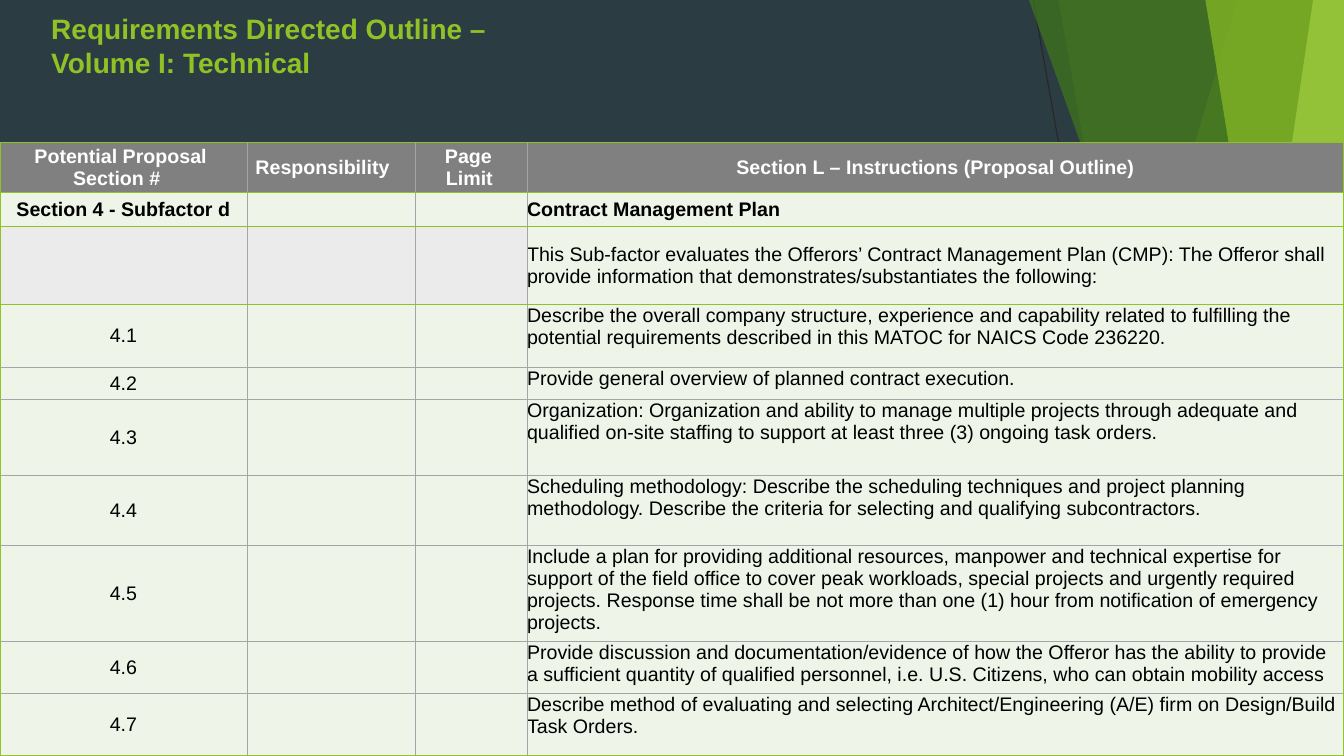
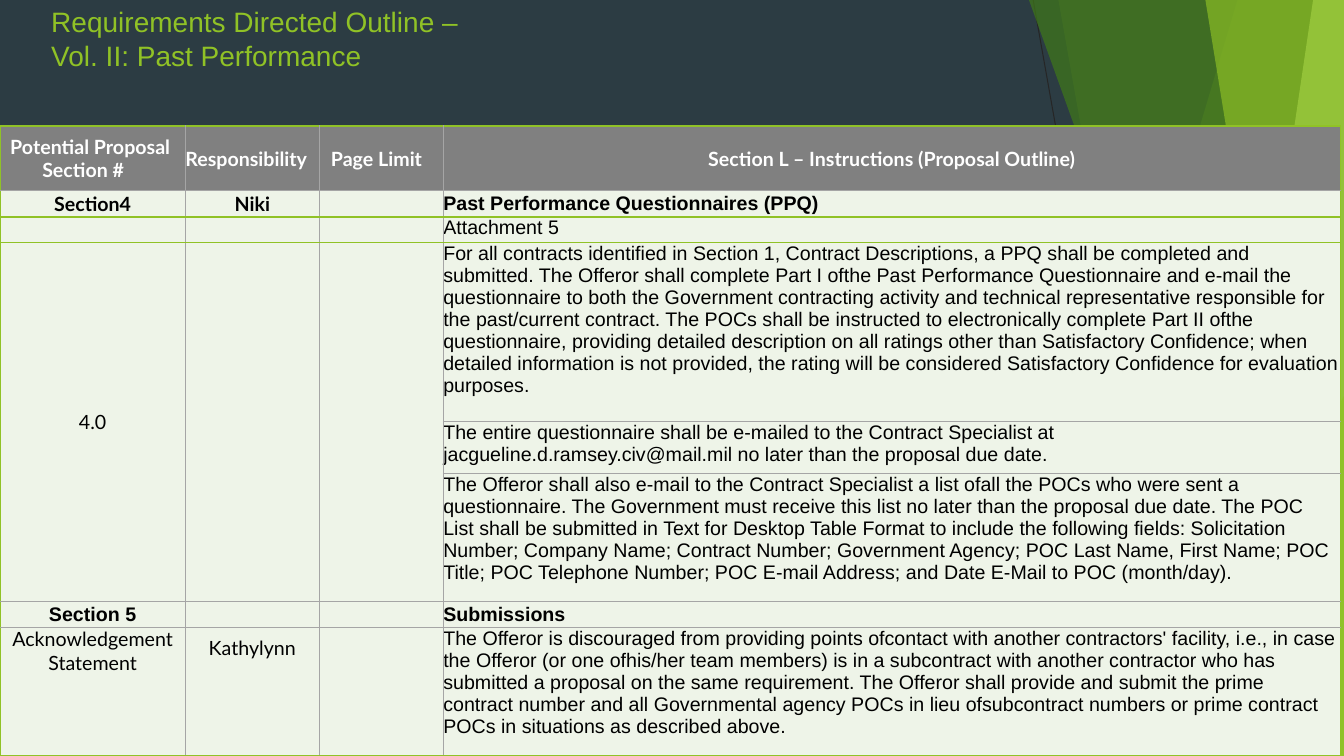
from lxml import etree
from pptx import Presentation
from pptx.dml.color import RGBColor
from pptx.enum import shapes, text
from pptx.oxml import ns
from pptx.util import Pt

NAVY = RGBColor(0x2C, 0x3C, 0x43)
LIME = RGBColor(0x90, 0xC2, 0x26)
GREEN = RGBColor(0x54, 0xA0, 0x21)
FOREST = RGBColor(0x3F, 0x78, 0x19)
PALE_LIME = RGBColor(0xC0, 0xE4, 0x74)
INK = RGBColor(0x26, 0x26, 0x26)
BLACK = RGBColor(0, 0, 0)
WHITE = RGBColor(0xFF, 0xFF, 0xFF)
HEADER_GREY = RGBColor(0x80, 0x80, 0x80)
RULE_GREY = RGBColor(0xA5, 0xA5, 0xA5)
CELL_GREEN = RGBColor(0xEE, 0xF4, 0xE8)
CELL_GREY = RGBColor(0xEB, 0xEB, 0xEB)

W, H = 960, 540
BODY_SIZE = 14
INSTRUCTIONS = 3  # column holding the long text
CENTER, LEFT = text.PP_ALIGN.CENTER, text.PP_ALIGN.LEFT
MIDDLE, TOP = text.MSO_ANCHOR.MIDDLE, text.MSO_ANCHOR.TOP

# Backdrop parts from back to front
RULES = [(738, 0, 834, H), (W, 290, 585, H)]
SHARDS = [  # kind, top-left x or box top, bottom-left x, colour, opacity %
    ("band", 884, 723, LIME, 30),
    ("band", 756, 852, LIME, 20),
    ("corner", 240, 703.5, GREEN, 72),
    ("band", 735, 929.5, FOREST, 70),
    ("band", 938, 858, PALE_LIME, 70),
    ("band", 861, 949, LIME, 65),
    ("corner", 283, 816.5, LIME, 80),
]

TECHNICAL = dict(
    title="Requirements Directed Outline – \vVolume I: Technical",
    title_top=5, title_bold=True, table_top=102, font="Arial",
    cols=[176.4, 120.2, 79.9, 583.5],
    heights=[35.7, 24.3, 55.7, 45, 22.9, 54.3, 50, 68.6, 37.1, 44.3],
    bold_rows={0, 1}, green_rules={0, 1, 2}, merges=[],
    special={(2, c): dict(fill=CELL_GREY) for c in range(3)}
    | {(2, 3): dict(anchor=MIDDLE)},
    rows=[
        ("Potential Proposal \nSection #\t", "Responsibility\t", "Page \nLimit\t",
         "Section L – Instructions (Proposal Outline)"),
        ("Section 4 - Subfactor d", "", "", "Contract Management Plan"),
        ("", "", "", "This Sub-factor evaluates the Offerors’ Contract Management Plan "
         "(CMP): The Offeror shall provide information that "
         "demonstrates/substantiates the following:"),
        ("4.1", "", "", "Describe the overall company structure, experience and "
         "capability related to fulfilling the potential requirements described "
         "in this MATOC for NAICS Code 236220."),
        ("4.2", "", "", "Provide general overview of planned contract execution."),
        ("4.3", "", "", "Organization: Organization and ability to manage multiple "
         "projects through adequate and qualified on-site staffing to support at "
         "least three (3) ongoing task orders."),
        ("4.4", "", "", "Scheduling methodology: Describe the scheduling techniques "
         "and project planning methodology. Describe the criteria for selecting "
         "and qualifying subcontractors."),
        ("4.5", "", "", "Include a plan for providing additional resources, manpower "
         "and technical expertise for support of the field office to cover peak "
         "workloads, special projects and urgently required projects. Response "
         "time shall be not more than one (1) hour from notification of emergency "
         "projects."),
        ("4.6", "", "", "Provide discussion and documentation/evidence of how the "
         "Offeror has the ability to provide a sufficient quantity of qualified "
         "personnel, i.e. U.S. Citizens, who can obtain mobility access"),
        ("4.7", "", "", "Describe method of evaluating and selecting "
         "Architect/Engineering (A/E) firm on Design/Build Task Orders."),
    ],
)

PAST_PERFORMANCE = dict(
    title="Requirements Directed Outline –\vVol. II: Past Performance",
    title_top=0, title_bold=False, table_top=90, font="Lato",
    cols=[132.4, 95.7, 88.6, 640.7],
    heights=[46.4, 18.6, 18.2, 127.9, 37.1, 91.4, 18.6, 91.4],
    bold_rows={0, 1, 6}, green_rules={1, 2},
    merges=[(3, 5, c) for c in range(3)],
    special={(6, 0): dict(font="Arial"), (7, 0): dict(anchor=TOP),
             (7, 1): dict(anchor=TOP, inset_top=6)},
    rows=[
        ("Potential Proposal \nSection #\t", "Responsibility\t", "Page Limit\t",
         "Section L – Instructions (Proposal Outline)"),
        ("Section4", "Niki", "", "Past Performance Questionnaires (PPQ)"),
        ("", "", "", "Attachment 5"),
        ("4.0", "", "", "For all contracts identified in Section 1, Contract "
         "Descriptions, a PPQ shall be completed and submitted. The Offeror shall "
         "complete Part I ofthe Past Performance Questionnaire and e-mail the "
         "questionnaire to both the Government contracting activity and technical "
         "representative responsible for the past/current contract. The POCs shall "
         "be instructed to electronically complete Part II ofthe questionnaire, "
         "providing detailed description on all ratings other than Satisfactory "
         "Confidence; when detailed information is not provided, the rating will "
         "be considered Satisfactory Confidence for evaluation purposes."),
        ("", "", "", "The entire questionnaire shall be e-mailed to the Contract "
         "Specialist at jacgueline.d.ramsey.civ@mail.mil no later than the "
         "proposal due date."),
        ("", "", "", "The Offeror shall also e-mail to the Contract Specialist a "
         "list ofall the POCs who were sent a questionnaire. The Government must "
         "receive this list no later than the proposal due date. The POC List "
         "shall be submitted in Text for Desktop Table Format to include the "
         "following fields: Solicitation Number; Company Name; Contract Number; "
         "Government Agency; POC Last Name, First Name; POC Title; POC Telephone "
         "Number; POC E-mail Address; and Date E-Mail to POC (month/day)."),
        ("Section 5", "", "", "Submissions"),
        ("Acknowledgement Statement", "Kathylynn", "", "The Offeror is discouraged "
         "from providing points ofcontact with another contractors' facility, "
         "i.e., in case the Offeror (or one ofhis/her team members) is in a "
         "subcontract with another contractor who has submitted a proposal on the "
         "same requirement. The Offeror shall provide and submit the prime "
         "contract number and all Governmental agency POCs in lieu ofsubcontract "
         "numbers or prime contract POCs in situations as described above."),
    ],
)


def write(tf, words, *, size=BODY_SIZE, font="Arial", color=BLACK, bold=False,
          align=LEFT):
    """Fill a text frame: newline starts a paragraph, vertical tab a line break."""
    for i, line in enumerate(words.split("\n")):
        p = tf.paragraphs[0] if i == 0 else tf.add_paragraph()
        p.alignment = align
        p.text = line
        for r in p.runs:
            r.font.size, r.font.name, r.font.bold = Pt(size), font, bold
            r.font.color.rgb = color
        if not line:  # keeps an empty cell as low as its row
            p._p.get_or_add_endParaRPr().set("sz", str(size * 100))


def add_backdrop(s):
    s.background.fill.solid()
    s.background.fill.fore_color.rgb = NAVY
    for x1, y1, x2, y2 in RULES:
        rule = s.shapes.add_connector(shapes.MSO_CONNECTOR.STRAIGHT,
                                      Pt(x1), Pt(y1), Pt(x2), Pt(y2))
        rule.line.color.rgb = INK
        rule.line.width = Pt(0.75)
        etree.SubElement(rule._element.spPr, ns.qn("a:effectLst"))
    for kind, start, foot, color, opacity in SHARDS:
        if kind == "band":
            outline = s.shapes.build_freeform(Pt(start), 0)
            outline.add_line_segments([(Pt(W), 0), (Pt(W), Pt(H)), (Pt(foot), Pt(H))])
            sp = outline.convert_to_shape()
        else:
            sp = s.shapes.add_shape(shapes.MSO_SHAPE.ISOSCELES_TRIANGLE, Pt(foot),
                                    Pt(start), Pt(W - foot), Pt(H - start))
            sp.adjustments[0] = 1
        sp.shadow.inherit = False
        sp.line.fill.background()
        sp.fill.solid()
        sp.fill.fore_color.rgb = color
        rgb = sp._element.spPr.find(".//" + ns.qn("a:srgbClr"))
        etree.SubElement(rgb, ns.qn("a:alpha")).set("val", str(opacity * 1000))


def add_title(s, words, top, bold):
    sp = s.shapes.add_textbox(Pt(29.5), Pt(top), Pt(713.5), Pt(85))
    sp.text_frame.word_wrap = True
    write(sp.text_frame, words, size=20, color=LIME, bold=bold)


def set_borders(cell, greens):
    """Draw the four sides, green where flagged and grey elsewhere."""
    tc_pr = cell._tc.get_or_add_tcPr()
    for side, green in zip("LRTB", greens):
        ln = etree.SubElement(tc_pr, ns.qn("a:ln" + side),
                              w=str(Pt(1 if green else 0.75)))
        fill = etree.SubElement(ln, ns.qn("a:solidFill"))
        etree.SubElement(fill, ns.qn("a:srgbClr"), val=str(LIME if green else RULE_GREY))


def format_cell(cell, words, *, fill, anchor, inset_top=0, **style):
    cell.margin_left = cell.margin_right = cell.margin_bottom = 0
    cell.margin_top = Pt(inset_top)
    cell.vertical_anchor = anchor
    cell.fill.solid()
    cell.fill.fore_color.rgb = fill
    write(cell.text_frame, words, **style)


def add_outline_table(s, top, d):
    rows, cols = d["rows"], d["cols"]
    last_row, last_col = len(rows) - 1, len(cols) - 1
    table = s.shapes.add_table(len(rows), len(cols), 0, Pt(top), Pt(sum(cols)),
                               Pt(sum(d["heights"]))).table
    table.first_row = table.horz_banding = False
    for column, width in zip(table.columns, cols):
        column.width = Pt(width)
    for row, height in zip(table.rows, d["heights"]):
        row.height = Pt(height)
    green_below = d["green_rules"] | {-1, last_row}

    for i, row in enumerate(rows):
        for j, words in enumerate(row):
            header, long_text = i == 0, j == INSTRUCTIONS
            bold = i in d["bold_rows"]
            style = dict(
                fill=HEADER_GREY if header else CELL_GREEN,
                color=WHITE if header else BLACK,
                font="Arial" if long_text and not header else d["font"],
                align=LEFT if long_text and not header else CENTER,
                anchor=TOP if long_text and not bold else MIDDLE,
                bold=bold,
            )
            style.update(d["special"].get((i, j), {}))
            cell = table.cell(i, j)
            set_borders(cell, (j == 0, j == last_col,
                               i - 1 in green_below, i in green_below))
            format_cell(cell, words, **style)
    for first, last, j in d["merges"]:
        table.cell(first, j).merge(table.cell(last, j))


def add_outline_slide(prs, d):
    s = prs.slides.add_slide(prs.slide_layouts[6])
    add_backdrop(s)
    add_title(s, d["title"], d["title_top"], d["title_bold"])
    add_outline_table(s, d["table_top"], d)


def main():
    prs = Presentation()
    prs.slide_width, prs.slide_height = Pt(W), Pt(H)
    for outline in (TECHNICAL, PAST_PERFORMANCE):
        add_outline_slide(prs, outline)
    prs.save("out.pptx")


if __name__ == "__main__":
    main()
